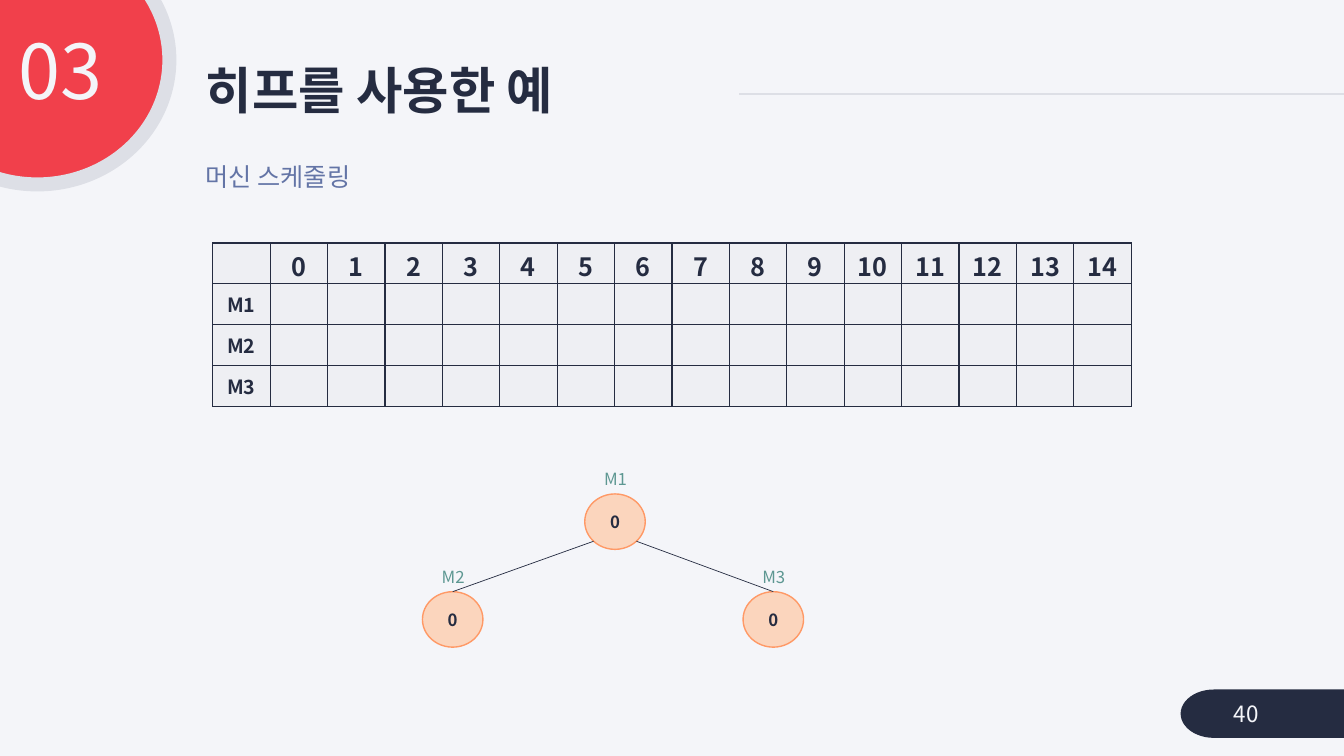
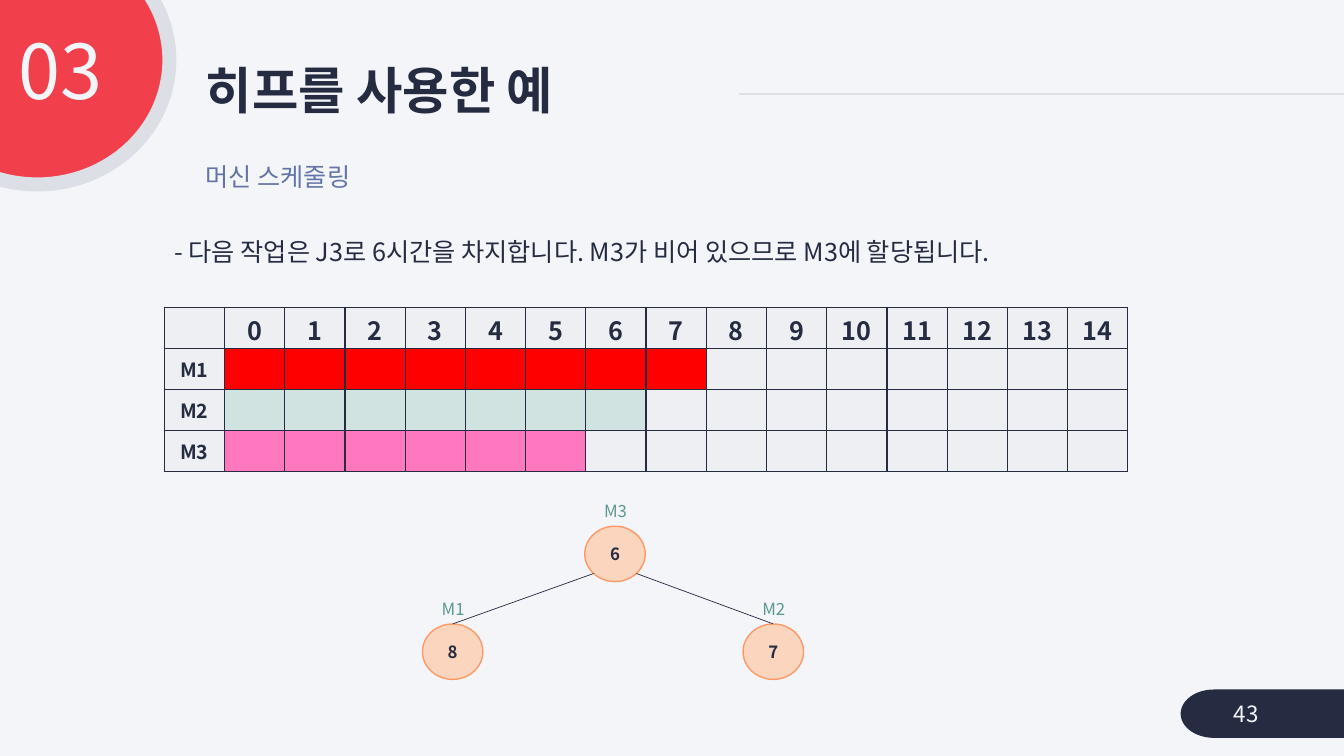
from dataclasses import dataclass
from math import cos, pi

from lxml.etree import SubElement
from pptx import Presentation
from pptx.dml.color import RGBColor
from pptx.enum.shapes import MSO_CONNECTOR as Connector, MSO_SHAPE as Preset
from pptx.enum.text import MSO_ANCHOR as Anchor, MSO_AUTO_SIZE as AutoSize, PP_ALIGN as Align
from pptx.oxml.ns import qn
from pptx.util import Inches, Pt


@dataclass(frozen=True)
class Theme:
    # Colours
    background: str = "F4F5F9"
    navy: str = "252C41"
    red: str = "F1404B"
    grey: str = "DDDFE6"
    subtitle: str = "6374A6"
    label: str = "5D9792"
    cell: str = "EEEFF3"
    node: str = "FBD5BD"
    node_line: str = "FF9966"
    job_1: str = "FF0000"
    job_2: str = "D1E3E1"
    job_3: str = "FF78BF"
    # Type
    font: str = "Noto Sans CJK KR"
    section_size: int = 54
    title_size: int = 36
    body_size: int = 18
    page_size: int = 16
    machine_size: int = 14
    node_size: int = 12


THEME = Theme()
SLOTS = 15
MACHINES = ("M1", "M2", "M3")
ROW_HEIGHT = 0.406
NODE_WIDTH, NODE_HEIGHT = 0.6, 0.55
LEVEL_GAP = 0.97
ROOT_X, LEFT_X, RIGHT_X = 5.8, 4.19, 7.37


def rgb(value):
    return RGBColor.from_string(value)


def apply(target, **values):
    for name, value in values.items():
        setattr(target, name, value)


def write(frame, text, size, color, bold=False, **paragraph_format):
    """Put one formatted paragraph into a text frame."""
    paragraph = frame.paragraphs[0]
    apply(paragraph, **paragraph_format)
    run = paragraph.add_run()
    run.text = text
    apply(run.font, size=Pt(size), bold=bold, name=THEME.font)
    run.font.color.rgb = rgb(color)
    SubElement(run.font._element, qn("a:ea"), typeface=THEME.font)


def add_text(slide, box, text, size, color, frame_format=None, **paragraph_format):
    shape = slide.shapes.add_textbox(*map(Inches, box))
    apply(shape.text_frame, **{"word_wrap": True, **(frame_format or {})})
    write(shape.text_frame, text, size, color, **paragraph_format)


def add_preset(slide, preset, box, fill, line=None, width=1):
    shape = slide.shapes.add_shape(preset, *map(Inches, box))
    shape.shadow.inherit = False
    shape.fill.solid()
    shape.fill.fore_color.rgb = rgb(fill)
    if line:
        shape.line.color.rgb = rgb(line)
        shape.line.width = Pt(width)
    else:
        shape.line.fill.background()
    return shape


def add_line(slide, start, end, color, width):
    line = slide.shapes.add_connector(Connector.STRAIGHT, *map(Inches, start + end))
    line.line.color.rgb = rgb(color)
    line.line.width = Pt(width)
    SubElement(line._element.spPr, qn("a:effectLst"))
    return line


# Shared frame of every slide
def add_framed_slide(presentation, page):
    slide = presentation.slides.add_slide(presentation.slide_layouts[5])
    add_line(slide, (7.33, 0.93), (13.33, 0.93), THEME.grey, 1.5)
    add_preset(slide, Preset.OVAL, (-0.94, -0.64, 2.62, 2.47), THEME.red, THEME.grey, 10)
    add_preset(slide, Preset.FLOWCHART_TERMINATOR, (11.71, 6.84, 2.05, 0.48), THEME.navy)

    title = slide.shapes.title
    apply(title, left=Inches(1.94), top=Inches(0.59), width=Inches(6.22), height=Inches(0.67))
    apply(title.text_frame, vertical_anchor=Anchor.MIDDLE, auto_size=AutoSize.NONE)
    write(title.text_frame, "히프를 사용한 예", THEME.title_size, THEME.navy, bold=True,
          alignment=Align.LEFT, line_spacing=0.9)

    middle = {"vertical_anchor": Anchor.MIDDLE}
    add_text(slide, (-0.11, 0.28, 1.22, 0.92), "03", THEME.section_size, THEME.background,
             middle, alignment=Align.RIGHT, line_spacing=0.9)
    add_text(slide, (12.14, 6.88, 1.09, 0.4), str(page), THEME.page_size,
             THEME.background, middle)
    add_text(slide, (1.94, 1.55, 1.81, 0.4), "머신 스케줄링", THEME.body_size, THEME.subtitle,
             {"auto_size": AutoSize.SHAPE_TO_FIT_TEXT})
    return slide


# Schedule table
def format_cell(cell, fill):
    properties = cell._tc.get_or_add_tcPr()
    for side in ("a:lnL", "a:lnR", "a:lnT", "a:lnB"):
        border = SubElement(properties, qn(side), w=str(Pt(1)))
        solid = SubElement(border, qn("a:solidFill"))
        SubElement(solid, qn("a:srgbClr"), val=THEME.navy)
    cell.fill.solid()
    cell.fill.fore_color.rgb = rgb(fill)
    apply(cell, vertical_anchor=Anchor.MIDDLE, margin_top=0, margin_bottom=0)


def add_schedule(slide, left, top, width, jobs):
    """Draw the time table; jobs maps a machine to its (hours, colour)."""
    rows, columns = len(MACHINES) + 1, SLOTS + 1
    frame = slide.shapes.add_table(rows, columns, Inches(left), Inches(top),
                                   Inches(width), Inches(rows * ROW_HEIGHT))
    table = frame.table
    apply(table, first_row=False, horz_banding=False)
    for row in table.rows:
        row.height = Inches(ROW_HEIGHT)
    for column in table.columns:
        column.width = Inches(width / columns)

    for row, machine in enumerate(("",) + MACHINES):
        hours, color = jobs.get(machine, (0, THEME.cell))
        for column in range(columns):
            cell = table.cell(row, column)
            format_cell(cell, color if 1 <= column <= hours else THEME.cell)
            if row == 0 and column > 0:
                cell.margin_top = Inches(0.04)
                write(cell.text_frame, str(column - 1), THEME.body_size, THEME.navy,
                      bold=True, alignment=Align.CENTER)
            elif row > 0 and column == 0:
                write(cell.text_frame, machine, THEME.machine_size, THEME.navy,
                      bold=True, alignment=Align.CENTER)


# Heap tree
def add_node(slide, left, top, machine, value):
    node = add_preset(slide, Preset.OVAL, (left, top, NODE_WIDTH, NODE_HEIGHT),
                      THEME.node, THEME.node_line)
    apply(node.text_frame, vertical_anchor=Anchor.MIDDLE, word_wrap=True)
    write(node.text_frame, str(value), THEME.node_size, THEME.navy, bold=True,
          alignment=Align.CENTER)
    add_text(slide, (left + NODE_WIDTH / 2 - 0.21, top - 0.3, 0.43, 0.3), machine,
             THEME.node_size, THEME.label,
             {"word_wrap": False, "auto_size": AutoSize.SHAPE_TO_FIT_TEXT},
             alignment=Align.CENTER)
    return node


def add_heap(slide, top, root, left, right):
    """Draw a root and two children, each given as (machine, value)."""
    add_node(slide, ROOT_X, top, *root)
    diagonal = cos(pi / 4)
    start_y = top + NODE_HEIGHT / 2 * (1 + diagonal)
    child_y = top + LEVEL_GAP
    for x, side, entry in ((LEFT_X, -1, left), (RIGHT_X, 1, right)):
        child = add_node(slide, x, child_y, *entry)
        start_x = ROOT_X + NODE_WIDTH / 2 * (1 + side * diagonal)
        edge = add_line(slide, (start_x, start_y), (x + NODE_WIDTH / 2, child_y),
                        THEME.navy, 0.5)
        edge.end_connect(child, 0)


def main():
    presentation = Presentation()
    apply(presentation, slide_width=Inches(13.33), slide_height=Inches(7.5))
    background = presentation.slide_master.background.fill
    background.solid()
    background.fore_color.rgb = rgb(THEME.background)

    # Empty schedule
    slide = add_framed_slide(presentation, 40)
    add_schedule(slide, 2.11, 2.41, 9.11, {})
    add_heap(slide, 4.9, ("M1", 0), ("M2", 0), ("M3", 0))

    # Three jobs assigned
    slide = add_framed_slide(presentation, 43)
    add_text(slide, (1.63, 2.3, 8.4, 0.4),
             "- 다음 작업은 J3로 6시간을 차지합니다. M3가 비어 있으므로 M3에 할당됩니다.",
             THEME.body_size, THEME.navy)
    add_schedule(slide, 1.63, 3.05, 9.56, {"M1": (8, THEME.job_1),
                                           "M2": (7, THEME.job_2),
                                           "M3": (6, THEME.job_3)})
    add_heap(slide, 5.22, ("M3", 6), ("M1", 8), ("M2", 7))

    presentation.save("out.pptx")


if __name__ == "__main__":
    main()
